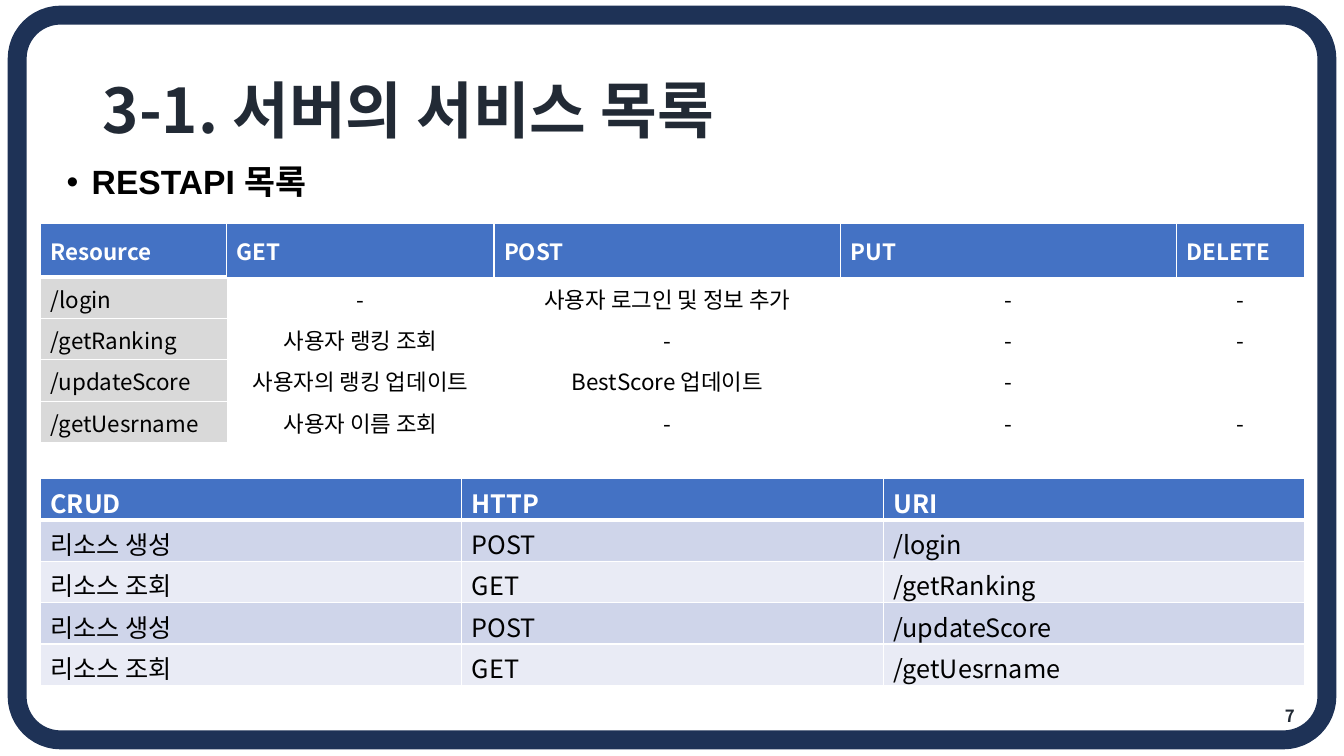
from dataclasses import dataclass

from lxml import etree
from pptx import Presentation
from pptx.dml.color import RGBColor
from pptx.enum.shapes import MSO_SHAPE
from pptx.enum.text import MSO_ANCHOR, MSO_AUTO_SIZE, PP_ALIGN
from pptx.oxml.ns import qn
from pptx.util import Emu, Pt

ROUNDED = MSO_SHAPE.ROUNDED_RECTANGLE
TOP, MIDDLE = MSO_ANCHOR.TOP, MSO_ANCHOR.MIDDLE
LEFT, CENTER, RIGHT = PP_ALIGN.LEFT, PP_ALIGN.CENTER, PP_ALIGN.RIGHT
NO_AUTOFIT = MSO_AUTO_SIZE.NONE
PLAIN_TABLE = "{2D5ABB26-0587-4C30-8999-92F81FD0307C}"
EMU_PER_PX = 9144  # 100 px to the inch


@dataclass(frozen=True)
class Theme:
    frame: str = "1E3256"
    heading: str = "222A35"
    ink: str = "000000"
    white: str = "FFFFFF"
    header: str = "4472C4"
    resource: str = "D9D9D9"
    bands: tuple = ("CFD5EA", "E9EBF5")
    font: str = "Noto Sans CJK KR"
    latin: str = "Arial"
    title_size: int = 44
    subtitle_size: int = 24
    crud_size: int = 18
    service_size: int = 16
    number_size: int = 12


THEME = Theme()

SERVICES = [
    ["Resource", "GET", "POST", "PUT", "DELETE"],
    ["/login", "-", "사용자 로그인 및 정보 추가", "-", "-"],
    ["/getRanking", "사용자 랭킹 조회", "-", "-", "-"],
    ["/updateScore", "사용자의 랭킹 업데이트", "BestScore 업데이트", "-", ""],
    ["/getUesrname", "사용자 이름 조회", "-", "-", "-"],
]
CRUD = [
    ["CRUD", "HTTP", "URI"],
    ["리소스 생성", "POST", "/login"],
    ["리소스 조회", "GET", "/getRanking"],
    ["리소스 생성", "POST", "/updateScore"],
    ["리소스 조회", "GET", "/getUesrname"],
]


def px(length):
    return Emu(length * EMU_PER_PX)


def write(frame, text, size, color=THEME.ink, bold=False, align=LEFT,
          font=THEME.font, spacing=None, before=None):
    paragraph = frame.paragraphs[0]
    paragraph.alignment = align
    if spacing:
        paragraph.line_spacing = spacing
    if before is not None:
        paragraph.space_before = Pt(before)
    if not text:
        return
    run = paragraph.add_run()
    run.text = text
    run.font.size = Pt(size)
    run.font.bold = bold
    run.font.color.rgb = RGBColor.from_string(color)
    run.font.name = font
    east_asian = etree.SubElement(run.font._element, qn("a:ea"))
    east_asian.set("typeface", THEME.font)


def place(shape, box):
    shape.left, shape.top, shape.width, shape.height = map(px, box)


def set_frame(slide, box):
    border = slide.shapes.add_shape(ROUNDED, *map(px, box))
    border.adjustments[0] = 0.06
    border.shadow.inherit = False
    border.fill.background()
    border.line.color.rgb = RGBColor.from_string(THEME.frame)
    border.line.width = Pt(13.5)


def set_title(slide, box, text):
    title = slide.shapes.title
    place(title, box)
    title.text_frame.auto_size = NO_AUTOFIT
    title.text_frame.vertical_anchor = MIDDLE
    write(title.text_frame, text, THEME.title_size, THEME.heading, bold=True, spacing=0.9)


def set_subtitle(slide, box, text):
    subtitle = slide.placeholders[1]
    place(subtitle, box)
    subtitle.text_frame.auto_size = NO_AUTOFIT
    write(subtitle.text_frame, text, THEME.subtitle_size, bold=True,
          font=THEME.latin, spacing=0.9, before=10)
    properties = subtitle.text_frame.paragraphs[0]._p.get_or_add_pPr()
    properties.set("marL", str(px(25)))
    properties.set("indent", str(px(-25)))
    etree.SubElement(properties, qn("a:buFont")).set("typeface", THEME.latin)
    etree.SubElement(properties, qn("a:buChar")).set("char", "•")


def set_page_number(slide, box, number):
    page = slide.shapes.add_textbox(*map(px, box))
    page.text_frame.word_wrap = True
    page.text_frame.vertical_anchor = MIDDLE
    write(page.text_frame, number, THEME.number_size, THEME.heading, bold=True, align=RIGHT)


def add_grid(slide, left, top, columns, rows):
    """Add an unstyled table with the given column widths and row heights."""
    grid = slide.shapes.add_table(
        len(rows), len(columns), px(left), px(top), px(sum(columns)), px(sum(rows))).table
    grid._tbl.tblPr.find(qn("a:tableStyleId")).text = PLAIN_TABLE
    grid.horz_banding = False
    for column, width in zip(grid.columns, columns):
        column.width = px(width)
    for row, height in zip(grid.rows, rows):
        row.height = px(height)
    return grid


def fill_cell(cell, text, fill, edges, anchor=TOP, **text_format):
    """Write and fill a cell; edges maps L, R, T, B to white line widths in points."""
    properties = cell._tc.get_or_add_tcPr()
    for side in "LRTB":
        if side in edges:
            line = etree.SubElement(properties, qn(f"a:ln{side}"), w=str(Pt(edges[side])))
            solid = etree.SubElement(line, qn("a:solidFill"))
            etree.SubElement(solid, qn("a:srgbClr"), val=THEME.white)
    cell.fill.solid()
    cell.fill.fore_color.rgb = RGBColor.from_string(fill)
    cell.vertical_anchor = anchor
    write(cell.text_frame, text, **text_format)


def add_service_table(slide, left, top):
    grid = add_grid(slide, left, top, [185, 265, 344, 333, 127], [53] + [41] * 4)
    size = THEME.service_size
    for r, row in enumerate(SERVICES):
        for c, text in enumerate(row):
            cell = grid.cell(r, c)
            if r == 0:
                edges = {"L": 1, "R": 1, "T": 1}
                if c == 0:
                    edges["B"] = 3
                fill_cell(cell, text, THEME.header, edges, MIDDLE,
                          size=size, color=THEME.white, bold=True)
            elif c == 0:
                fill_cell(cell, text, THEME.resource, {"L": 1, "B": 1}, size=size)
            else:
                fill_cell(cell, text, THEME.white, {}, MIDDLE, size=size, align=CENTER)


def add_crud_table(slide, left, top):
    grid = add_grid(slide, left, top, [418] * 3, [41] * 5)
    for r, row in enumerate(CRUD):
        header = r == 0
        fill = THEME.header if header else THEME.bands[(r - 1) % 2]
        edges = {"L": 1, "R": 1, "B": 3 if header else 1}
        for c, text in enumerate(row):
            fill_cell(grid.cell(r, c), text, fill, edges, size=THEME.crud_size,
                      color=THEME.white if header else THEME.ink, bold=header)


def main():
    deck = Presentation()
    deck.slide_width, deck.slide_height = px(1333), px(750)
    slide = deck.slides.add_slide(deck.slide_layouts[1])
    set_frame(slide, (17, 15, 1299, 719))
    set_title(slide, (92, 40, 1150, 145), "3-1. 서버의 서비스 목록")
    set_subtitle(slide, (56, 159, 940, 51), "RESTAPI 목록")
    set_page_number(slide, (994, 690, 300, 40), "7")
    add_service_table(slide, 40, 222)
    add_crud_table(slide, 40, 475)
    deck.save("out.pptx")


if __name__ == "__main__":
    main()
